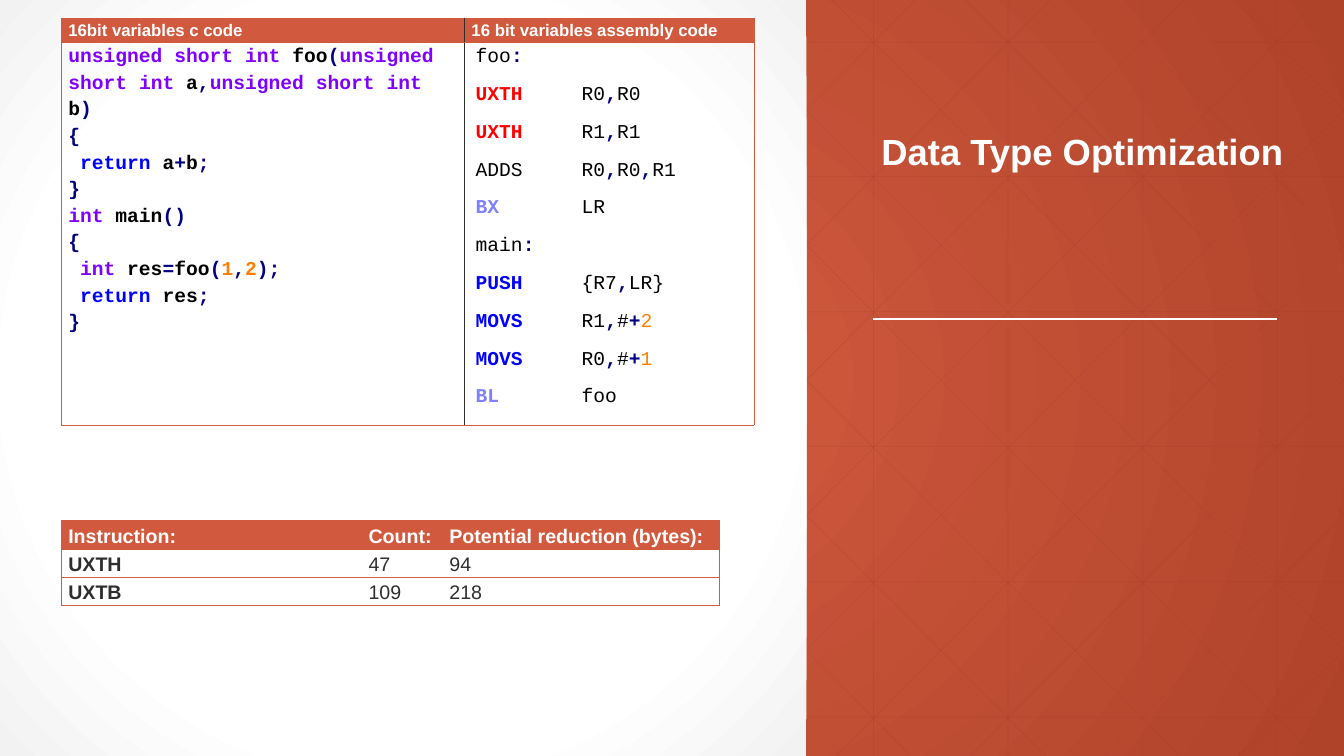
from dataclasses import dataclass
from itertools import groupby
from typing import Callable, Optional

from lxml.etree import SubElement
from pptx import Presentation
from pptx.dml.color import RGBColor
from pptx.enum.shapes import MSO_CONNECTOR, MSO_SHAPE
from pptx.enum.text import MSO_ANCHOR
from pptx.oxml import parse_xml
from pptx.oxml.ns import nsdecls, qn
from pptx.util import Emu, Pt

WIDE, HIGH = 1280, 720
RUST, DARK, WHITE, BLACK = "D15A3E", "2D2E2D", "FFFFFF", "000000"
NAVY, BLUE, PURPLE, ORANGE = "000080", "0000FF", "8000FF", "FF8000"
RED, LILAC = "FF0000", "8080FF"
PLAIN = "{2D5ABB26-0587-4C30-8999-92F81FD0307C}"  # table style without grid

Run = tuple[str, str, bool]

C_CODE = """unsigned short int foo(unsigned short int a,unsigned short int b)
{
 return a+b;
}
int main()
{
 int res=foo(1,2);
 return res;
}"""
ASM_CODE = """foo:
UXTH\tR0,R0
UXTH\tR1,R1
ADDS\tR0,R0,R1
BX\tLR
main:
PUSH\t{R7,LR}
MOVS\tR1,#+2
MOVS\tR0,#+1
BL\tfoo"""

C_WORDS = {"unsigned": PURPLE, "short": PURPLE, "int": PURPLE, "return": BLUE}
ASM_WORDS = {"UXTH": RED, "BX": LILAC, "BL": LILAC, "PUSH": BLUE, "MOVS": BLUE}


def px(n: float) -> Emu:
    return Emu(round(n * 9525))


def color(code: str) -> RGBColor:
    return RGBColor.from_string(code)


# Syntax colouring
def paint(line: str, words: dict[str, str], marks: str, bold: bool) -> list[Run]:
    def kind(ch: str) -> str:
        return "word" if ch.isalnum() else "mark" if ch in marks else "rest"

    runs = []
    for name, chars in groupby(line, kind):
        part = "".join(chars)
        if name == "mark":
            runs.append((part, NAVY, True))
        elif part.isdigit():
            runs.append((part, ORANGE, bold))
        else:
            runs.append((part, words.get(part, BLACK), bold or part in words))
    return runs


def paint_c(line: str) -> list[Run]:
    return paint(line, C_WORDS, "(){},;+=", True)


def paint_asm(line: str) -> list[Run]:
    return paint(line, ASM_WORDS, ":,+", False)


def write(frame, text: str, *, size: int, font: str = "Arial", ink: str = DARK,
          bold: bool = False, space: float = 1.2, before: int = 0, after: int = 0,
          tab: int = 0, tint: Optional[Callable[[str], list[Run]]] = None) -> None:
    frame.word_wrap = True
    for i, line in enumerate(text.split("\n")):
        para = frame.add_paragraph() if i else frame.paragraphs[0]
        para.line_spacing = space
        para.space_before, para.space_after = Pt(before), Pt(after)
        if tab:
            stops = SubElement(para._p.get_or_add_pPr(), qn("a:tabLst"))
            SubElement(stops, qn("a:tab"), pos=str(px(tab)), algn="l")
        for part, hue, heavy in tint(line) if tint else [(line, ink, bold)]:
            run = para.add_run()
            run.text = part
            run.font.size, run.font.name, run.font.bold = Pt(size), font, heavy
            run.font.color.rgb = color(hue)


def glow(fill, owner, stops: list[tuple[int, str]]) -> None:
    fill.gradient()
    grad = next(owner.iter(qn("a:gradFill")))
    marks = "".join(f'<a:gs pos="{at * 1000}"><a:srgbClr val="{hue}"/></a:gs>'
                    for at, hue in stops)
    grad.getparent().replace(grad, parse_xml(
        f'<a:gradFill {nsdecls("a")} rotWithShape="1"><a:gsLst>{marks}</a:gsLst>'
        '<a:path path="circle"><a:fillToRect l="50000" t="50000" r="50000" '
        'b="50000"/></a:path></a:gradFill>'))


@dataclass
class Line:
    x1: float
    y1: float
    x2: float
    y2: float
    hue: str = "A43F27"
    width: float = 0.5
    alpha: int = 25


def draw(slide, line: Line) -> None:
    bar = slide.shapes.add_connector(MSO_CONNECTOR.STRAIGHT, px(line.x1), px(line.y1),
                                     px(line.x2), px(line.y2))
    bar.line.color.rgb, bar.line.width = color(line.hue), Pt(line.width)
    if line.alpha < 100:
        tone = next(bar.element.spPr.iter(qn("a:srgbClr")))
        SubElement(tone, qn("a:alpha"), val=str(line.alpha * 1000))
    SubElement(bar.element.spPr, qn("a:effectLst"))


def lattice() -> list[Line]:
    run, slope = 716, HIGH / 716
    lines = [Line(x, 0, x, HIGH) for x in range(832, WIDE, 128)]
    lines += [Line(0, y, WIDE, y) for y in (40 + i * 643 // 5 for i in range(6))]
    for top in range(152, WIDE, 128):  # falling
        end = min(top + run, WIDE)
        lines.append(Line(top, 0, end, (end - top) * slope))
    for top in range(872, WIDE + run, 128):  # rising
        end = min(top, WIDE)
        lines.append(Line(top - run, HIGH, end, (top - end) * slope))
    return lines


@dataclass
class Cell:
    text: str
    form: dict
    pad: int = 7
    fill: Optional[str] = None


@dataclass
class Grid:
    left: int
    top: int
    high: int
    cols: list[int]
    rows: list[int]
    cells: list[list[Cell]]
    split: Optional[str] = None


def edge(cell, side: str, hue: str, width: float) -> None:
    cell._tc.get_or_add_tcPr().append(parse_xml(
        f'<a:ln{side} {nsdecls("a")} w="{Pt(width)}"><a:solidFill>'
        f'<a:srgbClr val="{hue}"/></a:solidFill></a:ln{side}>'))


def tabulate(slide, grid: Grid) -> None:
    frame = slide.shapes.add_table(len(grid.rows), len(grid.cols), px(grid.left),
                                   px(grid.top), px(sum(grid.cols)), px(grid.high))
    table = frame.table
    table.first_row = table.horz_banding = False
    next(table._tbl.iter(qn("a:tableStyleId"))).text = PLAIN
    for col, wide in zip(table.columns, grid.cols):
        col.width = px(wide)
    for row, tall in zip(table.rows, grid.rows):
        row.height = px(tall)
    frame.height = px(grid.high)
    last = len(grid.cols) - 1
    for r, line in enumerate(grid.cells):
        for c, item in enumerate(line):
            cell = table.cell(r, c)
            cell.margin_left = cell.margin_right = px(item.pad)
            cell.margin_top = cell.margin_bottom = 0
            for side, outer in (("L", c == 0), ("R", c == last)):
                if outer:
                    edge(cell, side, RUST, 0.5)
                elif grid.split:
                    edge(cell, side, grid.split, 1)
            for side in "TB":
                edge(cell, side, RUST, 0.5)
            if item.fill:
                cell.fill.solid()
                cell.fill.fore_color.rgb = color(item.fill)
            else:
                cell.fill.background()
            write(cell.text_frame, item.text, **item.form)


def head(text: str, size: int) -> Cell:
    return Cell(text, dict(size=size, ink=WHITE, bold=True, before=2), fill=RUST)


def main() -> None:
    deck = Presentation()
    deck.slide_width, deck.slide_height = px(WIDE), px(HIGH)
    slide = deck.slides.add_slide(deck.slide_layouts[6])

    # Backdrop, lattice and white panel
    glow(slide.background.fill, slide.element, [(0, RUST), (100, "AF432A")])
    for line in lattice():
        draw(slide, line)
    panel = slide.shapes.add_shape(MSO_SHAPE.RECTANGLE, 0, 0, px(768), px(HIGH))
    panel.shadow.inherit = False
    panel.line.fill.background()
    glow(panel.fill, panel.element, [(0, WHITE), (69, WHITE), (100, "F2F2F2")])

    # Title and rule
    draw(slide, Line(831, 304, 1216, 304, WHITE, 1.5, 100))
    title = slide.shapes.add_textbox(px(830), px(78), px(404), px(92)).text_frame
    title.vertical_anchor = MSO_ANCHOR.BOTTOM
    write(title, "Data Type Optimization", size=26, ink=WHITE, bold=True, space=0.9)

    # Code table
    code = dict(size=14, font="Courier New")
    tabulate(slide, Grid(58, 17, 388, [384, 276], [18, 275], [
        [head("16bit variables c code", 12), head("16 bit variables assembly code", 12)],
        [Cell(C_CODE, dict(code, tint=paint_c)),
         Cell(ASM_CODE, dict(code, tint=paint_asm, after=8, tab=101), pad=11)],
    ], DARK))

    # Savings table
    data = [("UXTH", "47", "94"), ("UXTB", "109", "218")]
    names = ["Instruction:", "Count:", "Potential reduction (bytes):"]
    tabulate(slide, Grid(58, 496, 81, [286, 77, 264], [20] * 3, [
        [head(name, 14) for name in names],
        *[[Cell(text, dict(size=14, bold=i == 0, before=2)) for i, text in enumerate(row)]
          for row in data]]))

    deck.save("out.pptx")


if __name__ == "__main__":
    main()
